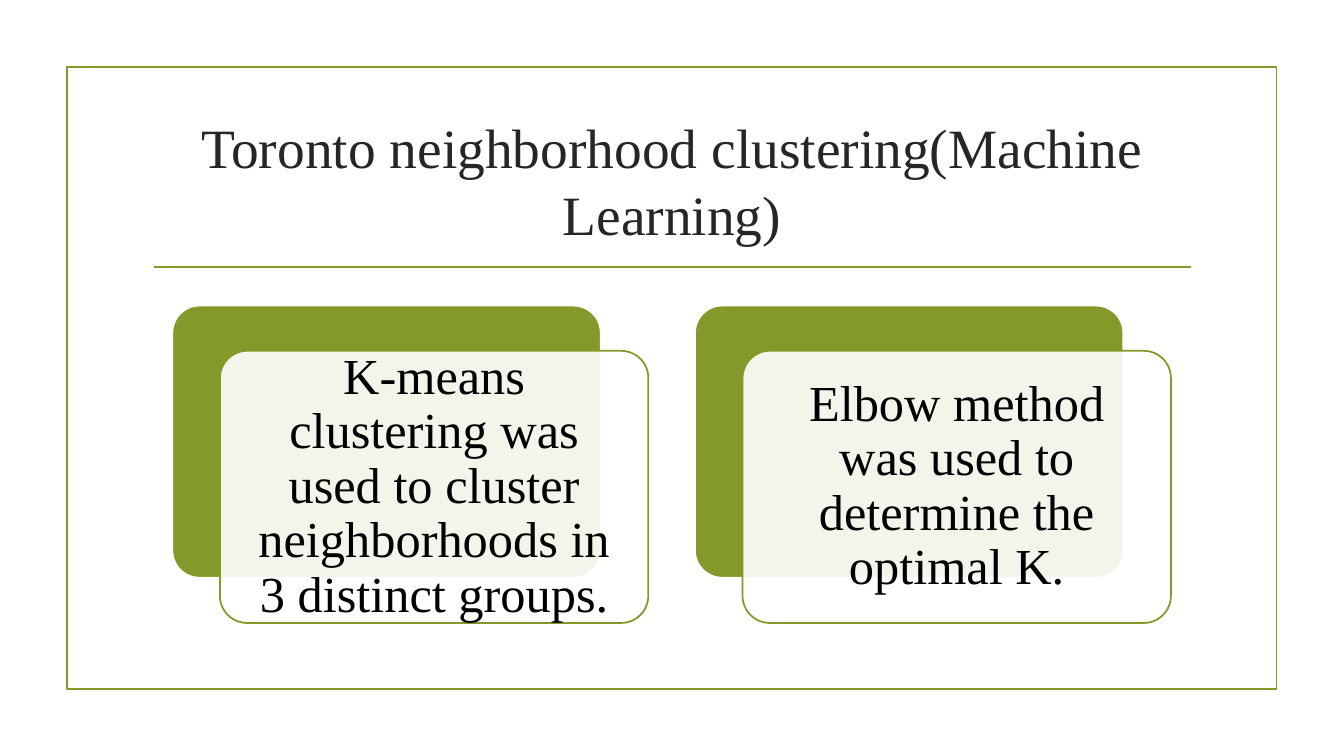
from dataclasses import dataclass

from lxml.etree import SubElement
from pptx import Presentation
from pptx.dml.color import RGBColor
from pptx.enum.shapes import MSO_CONNECTOR, MSO_SHAPE
from pptx.enum.text import MSO_ANCHOR, MSO_AUTO_SIZE, PP_ALIGN
from pptx.oxml.ns import qn
from pptx.util import Pt

COLORS = {"olive": "83992A", "white": "FFFFFF", "heading": "262626", "body": "000000"}
FONT = "Times New Roman"
LINE_WIDTH = 1.25
CARD_LEFT, CARD_TOP, CARD_PITCH = 123.1, 218.3, 373.3
CARD_WIDTH, CARD_HEIGHT = 306, 194.4
FRONT_SHIFT_X, FRONT_SHIFT_Y = 34, 32.3
TEXT_MARGIN = 5.7


@dataclass(frozen=True)
class Box:
    left: float
    top: float
    width: float
    height: float

    def lengths(self) -> tuple:
        return Pt(self.left), Pt(self.top), Pt(self.width), Pt(self.height)

    def shifted(self, across: float, down: float) -> "Box":
        return Box(self.left + across, self.top + down, self.width, self.height)

    def inset(self, margin: float) -> "Box":
        return Box(self.left + margin, self.top + margin,
                   self.width - 2 * margin, self.height - 2 * margin)


@dataclass(frozen=True)
class Card:
    finding: str
    column: int


CARDS = [
    Card("K-means clustering was used to cluster neighborhoods in 3 distinct groups.", 0),
    Card("Elbow method was used to determine the optimal K.", 1),
]


def rgb(name: str) -> RGBColor:
    return RGBColor.from_string(COLORS[name])


def write_text(holder, text: str, *, size: float, color: str, margins=(7.2, 3.6),
               line_spacing: float = 1.0, space_after: float = 0) -> None:
    frame = holder.text_frame
    frame.word_wrap = True
    frame.auto_size = MSO_AUTO_SIZE.NONE
    frame.vertical_anchor = MSO_ANCHOR.MIDDLE
    frame.margin_left = frame.margin_right = Pt(margins[0])
    frame.margin_top = frame.margin_bottom = Pt(margins[1])
    paragraph = frame.paragraphs[0]
    paragraph.alignment = PP_ALIGN.CENTER
    paragraph.line_spacing = line_spacing
    paragraph.space_after = Pt(space_after)
    run = paragraph.add_run()
    run.text = text
    run.font.name = FONT
    run.font.size = Pt(size)
    run.font.color.rgb = rgb(color)


def add_panel(slide, box: Box, *, line: str, fill: str = "", opacity: int = 100,
              corner: float = 0) -> None:
    kind = MSO_SHAPE.ROUNDED_RECTANGLE if corner else MSO_SHAPE.RECTANGLE
    panel = slide.shapes.add_shape(kind, *box.lengths())
    panel.shadow.inherit = False
    if corner:
        panel.adjustments[0] = corner
    panel.line.color.rgb = rgb(line)
    panel.line.width = Pt(LINE_WIDTH)
    if not fill:
        panel.fill.background()
        return
    panel.fill.solid()
    panel.fill.fore_color.rgb = rgb(fill)
    if opacity < 100:
        solid = panel.fill._xPr.find(qn("a:solidFill"))
        SubElement(solid[0], qn("a:alpha")).set("val", str(opacity * 1000))


def add_divider(slide, left: float, right: float, top: float) -> None:
    divider = slide.shapes.add_connector(
        MSO_CONNECTOR.STRAIGHT, Pt(left), Pt(top), Pt(right), Pt(top))
    divider.line.color.rgb = rgb("olive")
    divider.line.width = Pt(LINE_WIDTH)
    SubElement(divider._element.spPr, qn("a:effectLst"))


def add_heading(slide, box: Box, text: str) -> None:
    heading = slide.shapes.title
    heading.left, heading.top, heading.width, heading.height = box.lengths()
    write_text(heading, text, size=39.6, color="heading")


def add_card(slide, card: Card) -> None:
    back = Box(CARD_LEFT + card.column * CARD_PITCH, CARD_TOP, CARD_WIDTH, CARD_HEIGHT)
    front = back.shifted(FRONT_SHIFT_X, FRONT_SHIFT_Y)
    add_panel(slide, back, fill="olive", line="white", corner=0.1)
    add_panel(slide, front, fill="white", line="olive", opacity=90, corner=0.1)
    finding = slide.shapes.add_textbox(*front.inset(TEXT_MARGIN).lengths())
    write_text(finding, card.finding, size=36, color="body", margins=(10.8, 10.8),
               line_spacing=0.9, space_after=12.6)


def main() -> None:
    """Build the Toronto neighborhood clustering slide."""
    deck = Presentation()
    deck.slide_width, deck.slide_height = Pt(960), Pt(540)
    slide = deck.slides.add_slide(deck.slide_layouts[5])
    add_panel(slide, Box(47.8, 48, 864, 444.2), line="olive")
    add_divider(slide, 110, 850.5, 190.8)
    add_heading(slide, Box(102, 77, 756, 103),
                "Toronto neighborhood clustering(Machine Learning)")
    for card in CARDS:
        add_card(slide, card)
    deck.save("out.pptx")


if __name__ == "__main__":
    main()
